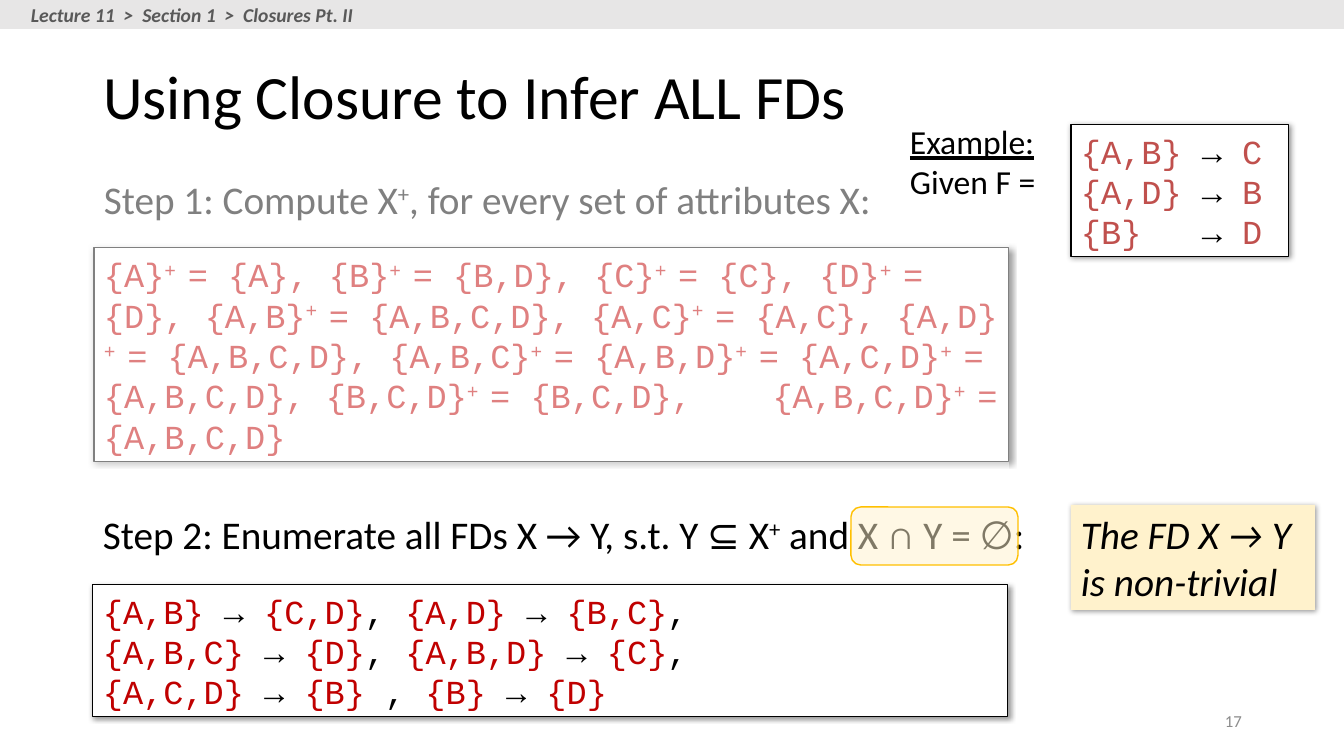
from lxml.etree import SubElement
from pptx import Presentation
from pptx.dml.color import RGBColor
from pptx.enum.shapes import MSO_SHAPE as Shape
from pptx.enum.text import MSO_ANCHOR as Anchor, MSO_AUTO_SIZE as AutoSize, PP_ALIGN as Align
from pptx.oxml.ns import qn
from pptx.util import Emu, Pt

EMU_PER_PIXEL = 914400 / 100.8
TITLE_ONLY = 5

BLACK = RGBColor(0x00, 0x00, 0x00)
WHITE = RGBColor(0xFF, 0xFF, 0xFF)
DARK_GREY = RGBColor(0x59, 0x59, 0x59)
NUMBER_GREY = RGBColor(0x8C, 0x8C, 0x8C)
BAR_GREY = RGBColor(0xE7, 0xE6, 0xE6)
BRICK = RGBColor(0xC0, 0x50, 0x4D)
RED = RGBColor(0xC0, 0x00, 0x00)
CREAM = RGBColor(0xFF, 0xF2, 0xCC)
GOLD = RGBColor(0xFF, 0xC0, 0x00)

SANS = "Calibri"
MONO = "Courier New"

# In these strings "|" switches between the main and the accent run style.
GIVEN_FDS = ["{A,B} |→ |C", "{A,D} |→| B", "{B}   |→| D"]
CLOSURES = [
    "{A}|+ |= {A}, {B}|+ |= {B,D}, {C}|+ |= {C}, {D}|+ |= {D}, "
    "{A,B}|+ |= {A,B,C,D}, {A,C}|+ |= {A,C}, {A,D}|+ |= {A,B,C,D}, "
    "{A,B,C}|+ |= {A,B,D}|+ |= {A,C,D}|+ |= {A,B,C,D}, "
    "{B,C,D}|+ |= {B,C,D},    {A,B,C,D}|+ |= {A,B,C,D}"
]
INFERRED_FDS = [
    "{A,B} |→ |{C,D}|, |{A,D} |→ |{B,C}|,",
    "{A,B,C} |→ |{D}|, |{A,B,D} |→ |{C}|,",
    "{A,C,D} |→ |{B}| , |{B} |→ |{D}",
]


def pixels(*lengths):
    """Turn pixel lengths into EMU."""
    return [Emu(round(length * EMU_PER_PIXEL)) for length in lengths]


class SlideBuilder:
    """Holds the text style and the current slide."""

    font = SANS
    colour = BLACK

    def __init__(self, slide):
        self.slide = slide

    def fill_frame(self, frame, lines, size, font=None, colour=None, accent=None,
                   bold=False, italic=False, underlined=(), align=Align.LEFT):
        """Fill a frame; accent runs take a colour, or are raised without one."""
        for index, line in enumerate(lines):
            paragraph = frame.paragraphs[0] if index == 0 else frame.add_paragraph()
            paragraph.alignment = align
            for position, piece in enumerate(line.split("|")):
                run = paragraph.add_run()
                run.text = piece
                style = run.font
                style.name = font or self.font
                style.size = Pt(size)
                style.bold, style.italic = bold, italic
                style.underline = index in underlined
                style.color.rgb = colour or self.colour
                if position % 2 and accent:
                    style.color.rgb = accent
                elif position % 2:
                    style._element.set("baseline", "30000")

    def title(self, box, text, size):
        """Place and format the title placeholder."""
        title = self.slide.shapes.title
        title.left, title.top, title.width, title.height = pixels(*box)
        frame = title.text_frame
        frame.vertical_anchor = Anchor.MIDDLE
        self.fill_frame(frame, [text], size)
        frame.paragraphs[0].line_spacing = 0.9

    def text(self, box, lines, size, wrap=False, anchor=Anchor.TOP, **style):
        """Add a text box."""
        frame = self.slide.shapes.add_textbox(*pixels(*box)).text_frame
        frame.word_wrap = wrap
        frame.auto_size = AutoSize.NONE if wrap else AutoSize.SHAPE_TO_FIT_TEXT
        frame.vertical_anchor = anchor
        self.fill_frame(frame, lines, size, **style)

    def shape(self, box, fill, line=None, width=0.75, kind=Shape.RECTANGLE, opacity=100):
        """Add a filled preset shape and return it."""
        shape = self.slide.shapes.add_shape(kind, *pixels(*box))
        shape.shadow.inherit = False
        shape.fill.solid()
        shape.fill.fore_color.rgb = fill
        if opacity < 100:
            colour = shape._element.spPr.find(qn("a:solidFill"))[0]
            SubElement(colour, qn("a:alpha"), val=str(opacity * 1000))
        if line is None:
            shape.line.fill.background()
        else:
            shape.line.color.rgb = line
            shape.line.width = Pt(width)
        return shape

    def veil(self, box):
        """Dim what lies behind with half-transparent white."""
        self.shape(box, WHITE, opacity=50)

    def card(self, box, lines, size, fill=WHITE, line=BLACK, wrap=True,
             anchor=Anchor.MIDDLE, **style):
        """Add a text panel with a soft shadow."""
        shape = self.shape(box, fill, line)
        effects = shape._element.spPr.find(qn("a:effectLst"))
        shadow = SubElement(effects, qn("a:outerShdw"), blurRad=str(int(Pt(4))),
                            dist=str(int(Pt(1))), dir=str(45 * 60000), rotWithShape="0")
        colour = SubElement(shadow, qn("a:srgbClr"), val=str(BLACK))
        SubElement(colour, qn("a:alpha"), val="40000")
        frame = shape.text_frame
        frame.word_wrap = wrap
        frame.auto_size = AutoSize.SHAPE_TO_FIT_TEXT
        frame.vertical_anchor = anchor
        self.fill_frame(frame, lines, size, **style)


def main():
    """Build the slide and save it."""
    presentation = Presentation()
    presentation.slide_width, presentation.slide_height = pixels(1344, 756)
    layout = presentation.slide_layouts[TITLE_ONLY]
    builder = SlideBuilder(presentation.slides.add_slide(layout))

    builder.text((950, 701, 302, 40), ["17"], 12, wrap=True, anchor=Anchor.MIDDLE,
                 colour=NUMBER_GREY, align=Align.RIGHT)
    builder.title((93, 27, 1159, 146), "Using Closure to Infer ALL FDs", 44)

    builder.card((1071, 125, 218, 132), GIVEN_FDS, 24, wrap=False,
                 font=MONO, colour=BRICK, accent=BLACK)
    builder.text((900, 116, 147, 92), ["Example:", "Given F ="], 24, underlined=(0,))

    builder.card((94, 248, 915, 214), CLOSURES, 24, font=MONO, colour=RED)
    builder.text((93, 505, 952, 57),
                 ["Step 2: Enumerate all FDs X → Y, s.t. Y ⊆ X|+| and X ∩ Y = ∅:"], 28)
    builder.card((93, 585, 915, 132), INFERRED_FDS, 24,
                 font=MONO, colour=RED, accent=BLACK)
    builder.veil((75, 241, 934, 234))

    builder.shape((851, 507, 167, 58), CREAM, GOLD, 1, Shape.ROUNDED_RECTANGLE, 50)
    builder.card((1071, 505, 244, 105), ["The FD X → Y is non-trivial"], 28,
                 fill=CREAM, line=None, anchor=Anchor.TOP, italic=True)

    builder.shape((0, 0, 1344, 29), BAR_GREY)
    builder.text((21, -2, 347, 34), ["Lecture 11  >  Section 1  >  Closures Pt. II"], 14,
                 colour=DARK_GREY, bold=True, italic=True)

    builder.text((94, 170, 798, 57),
                 ["Step 1: Compute X|+|, for every set of attributes X:"], 28)
    builder.veil((86, 165, 790, 70))

    presentation.save("out.pptx")


main()
